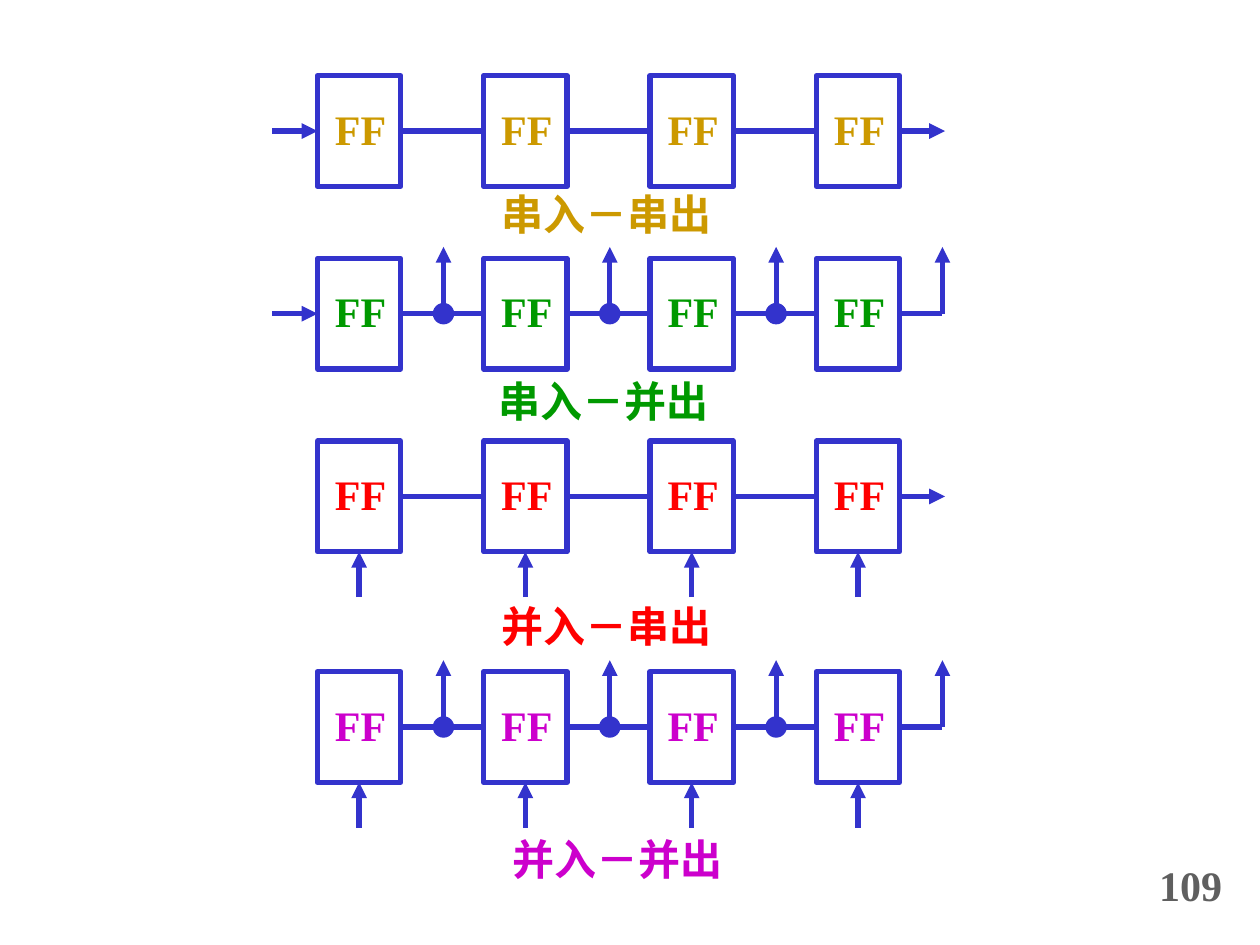
from lxml import etree
from pptx import Presentation
from pptx.dml.color import RGBColor
from pptx.enum.shapes import MSO_CONNECTOR, MSO_SHAPE
from pptx.enum.text import MSO_AUTO_SIZE
from pptx.oxml.ns import qn
from pptx.util import Inches, Pt

BLUE = RGBColor(0x33, 0x33, 0xCC)
GOLD = RGBColor(0xCC, 0x99, 0x00)
GREEN = RGBColor(0x00, 0x99, 0x00)
RED = RGBColor(0xFF, 0x00, 0x00)
MAGENTA = RGBColor(0xCC, 0x00, 0xCC)
GREY = RGBColor(0x5F, 0x5F, 0x5F)

BOX_WIDTH, BOX_HEIGHT = 0.66, 0.88
FIRST_LEFT, PITCH, COUNT = 2.52, 1.32, 4
ARROW_LENGTH = 0.36
TAP_OFFSET, TAP_HEIGHT = 1.0, 0.53
DOT_SIZE = 0.16
TOP, LEFT, BOTTOM, RIGHT = range(4)  # connection sites of a rectangle

# top, colour, serial input, parallel input, parallel output,
# caption, caption left, caption top, caption width
REGISTERS = [
    (0.6, GOLD, True, False, False, "串入－串出", 3.88, 1.45, 2.05),
    (2.05, GREEN, True, False, True, "串入－并出", 3.86, 2.93, 2.05),
    (3.5, RED, False, True, False, "并入－串出", 3.88, 4.72, 1.89),
    (5.33, MAGENTA, False, True, True, "并入－并出", 3.97, 6.57, 2.3),
]


def add_wire(shapes, start, end, arrow=False):
    wire = shapes.add_connector(
        MSO_CONNECTOR.STRAIGHT, *[Inches(value) for value in (*start, *end)])
    wire.line.color.rgb = BLUE
    wire.line.width = Pt(3)
    if arrow:
        line_element = wire.line._get_or_add_ln()
        etree.SubElement(line_element, qn("a:tailEnd"), type="triangle")
    etree.SubElement(wire._element.spPr, qn("a:effectLst"))
    return wire


def add_label(shapes, text, left, top, width, color, height=0.5):
    text_frame = shapes.add_textbox(
        Inches(left), Inches(top), Inches(width), Inches(height)).text_frame
    text_frame.word_wrap = True
    text_frame.auto_size = MSO_AUTO_SIZE.SHAPE_TO_FIT_TEXT
    paragraph = text_frame.paragraphs[0]
    paragraph.text = text
    paragraph.font.name = "Times New Roman"
    paragraph.font.size = Pt(24)
    paragraph.font.bold = True
    paragraph.font.color.rgb = color
    return paragraph


presentation = Presentation()
presentation.slide_width = Inches(10)
presentation.slide_height = Inches(7.5)
slide = presentation.slides.add_slide(presentation.slide_layouts[6])

lefts = [FIRST_LEFT + PITCH * column for column in range(COUNT)]
last_right = lefts[-1] + BOX_WIDTH

for top, color, serial_in, parallel_in, parallel_out, *caption in REGISTERS:
    shapes = slide.shapes.add_group_shape().shapes
    middle = top + BOX_HEIGHT / 2
    bottom = top + BOX_HEIGHT

    boxes = []
    for left in lefts:
        box = shapes.add_shape(
            MSO_SHAPE.RECTANGLE, Inches(left), Inches(top),
            Inches(BOX_WIDTH), Inches(BOX_HEIGHT))
        box.shadow.inherit = False
        box.fill.background()
        box.line.color.rgb = BLUE
        box.line.width = Pt(3)
        boxes.append(box)
        add_label(shapes, "FF", left + 0.04, top + 0.17, 0.73, color)

    for column in range(COUNT - 1):
        wire = add_wire(shapes, (lefts[column] + BOX_WIDTH, middle),
                        (lefts[column + 1], middle))
        wire.begin_connect(boxes[column], RIGHT)
        wire.end_connect(boxes[column + 1], LEFT)

    if serial_in:
        wire = add_wire(shapes, (FIRST_LEFT - ARROW_LENGTH, middle),
                        (FIRST_LEFT, middle), arrow=True)
        wire.end_connect(boxes[0], LEFT)

    if parallel_in:
        for left, box in zip(lefts, boxes):
            center = left + BOX_WIDTH / 2
            wire = add_wire(shapes, (center, bottom + ARROW_LENGTH),
                            (center, bottom), arrow=True)
            wire.end_connect(box, BOTTOM)

    output_end = lefts[-1] + TAP_OFFSET if parallel_out else last_right + ARROW_LENGTH
    wire = add_wire(shapes, (last_right, middle), (output_end, middle),
                    arrow=not parallel_out)
    wire.begin_connect(boxes[-1], RIGHT)

    if parallel_out:
        for left in lefts:
            tap = left + TAP_OFFSET
            add_wire(shapes, (tap, middle), (tap, middle - TAP_HEIGHT), arrow=True)
            if left == lefts[-1]:
                continue
            dot = shapes.add_shape(
                MSO_SHAPE.OVAL, Inches(tap - DOT_SIZE / 2),
                Inches(middle - DOT_SIZE / 2), Inches(DOT_SIZE), Inches(DOT_SIZE))
            dot.shadow.inherit = False
            dot.fill.solid()
            dot.fill.fore_color.rgb = BLUE
            dot.line.color.rgb = BLUE
            dot.line.width = Pt(0.75)

    add_label(slide.shapes, *caption, color)

page_number = add_label(slide.shapes, "109", 9.1, 6.82, 0.71, GREY, height=0.46)
page_number.line_spacing = 0.9

presentation.save("out.pptx")
